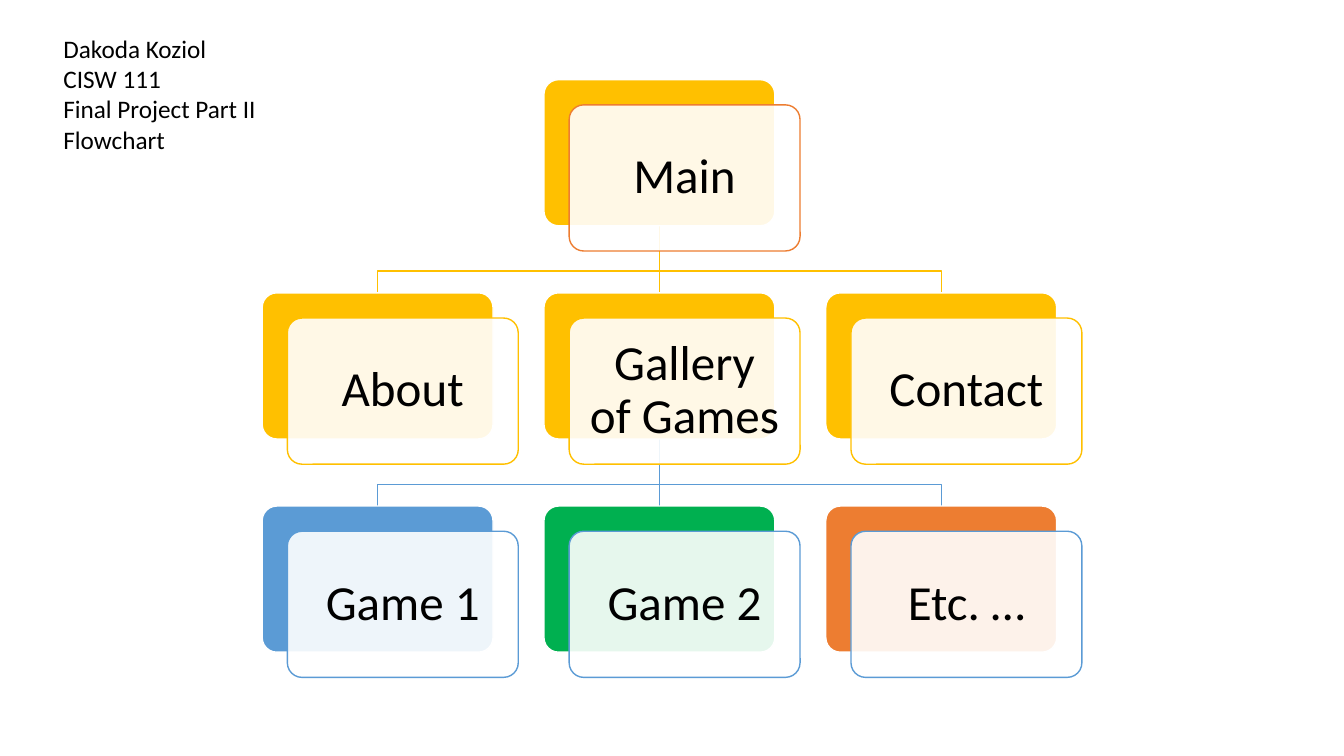
"""Build a one-slide flowchart of a website, from its main page down to its games."""
from lxml import etree
from pptx import Presentation
from pptx.dml.color import RGBColor
from pptx.enum.shapes import MSO_CONNECTOR, MSO_SHAPE
from pptx.enum.text import MSO_ANCHOR, PP_ALIGN
from pptx.oxml.ns import qn
from pptx.util import Inches, Pt

ROUNDED = MSO_SHAPE.ROUNDED_RECTANGLE
STRAIGHT = MSO_CONNECTOR.STRAIGHT
MIDDLE = MSO_ANCHOR.MIDDLE
CENTER = PP_ALIGN.CENTER

GOLD, BLUE, GREEN, ORANGE = "FFC000", "5B9BD5", "00B050", "ED7D31"
WHITE, BLACK = "FFFFFF", "000000"
FONT = "Calibri"

HEADING = ["Dakoda Koziol", "CISW 111", "Final Project Part II", "Flowchart"]
LEVELS = [
    {"outline": ORANGE, "boxes": [(1, "Main", GOLD)]},
    {"outline": GOLD, "boxes": [(0, "About", GOLD), (1, "Gallery of Games", GOLD),
                                (2, "Contact", GOLD)]},
    {"outline": BLUE, "boxes": [(0, "Game 1", BLUE), (1, "Game 2", GREEN),
                                (2, "Etc. …", ORANGE)]},
]

LEFT, TOP = 2.6, 0.79
COLUMN_STEP, ROW_STEP = 2.795, 2.115
BOX_WIDTH, BOX_HEIGHT = 2.29, 1.45
CARD_SHIFT = 0.25
BEND = 0.45
PARENT_COLUMN = 1


def color(value):
    return RGBColor.from_string(value)


def center_of(column):
    return LEFT + column * COLUMN_STEP + BOX_WIDTH / 2


def style_text(paragraph, size):
    paragraph.font.name = FONT
    paragraph.font.size = Pt(size)
    paragraph.font.color.rgb = color(BLACK)


def add_link(slide, column, parent_row, line_color):
    start_x, end_x = center_of(PARENT_COLUMN), center_of(column)
    start_y = TOP + parent_row * ROW_STEP + BOX_HEIGHT
    end_y = TOP + (parent_row + 1) * ROW_STEP
    if column == PARENT_COLUMN:
        link = slide.shapes.add_connector(
            STRAIGHT, Inches(start_x), Inches(start_y), Inches(end_x), Inches(end_y))
        etree.SubElement(link._element.spPr, qn("a:effectLst"))
    else:
        bend_y = start_y + BEND
        builder = slide.shapes.build_freeform(Inches(start_x), Inches(start_y))
        builder.add_line_segments(
            [(Inches(x), Inches(y))
             for x, y in [(start_x, bend_y), (end_x, bend_y), (end_x, end_y)]],
            close=False)
        link = builder.convert_to_shape()
        link.fill.background()
        link.shadow.inherit = False
    link.line.color.rgb = color(line_color)
    link.line.width = Pt(1)


def add_rounded(slide, left, top, fill, outline):
    shape = slide.shapes.add_shape(
        ROUNDED, Inches(left), Inches(top), Inches(BOX_WIDTH), Inches(BOX_HEIGHT))
    shape.adjustments[0] = 0.1
    shape.shadow.inherit = False
    shape.fill.solid()
    shape.fill.fore_color.rgb = color(fill)
    shape.line.color.rgb = color(outline)
    shape.line.width = Pt(1)
    return shape


def add_box(slide, column, row, label, fill, outline):
    left, top = LEFT + column * COLUMN_STEP, TOP + row * ROW_STEP
    add_rounded(slide, left, top, fill, WHITE)
    card = add_rounded(slide, left + CARD_SHIFT, top + CARD_SHIFT, WHITE, outline)
    fill_color = card._element.spPr.find(qn("a:solidFill"))[0]
    etree.SubElement(fill_color, qn("a:alpha"), val="90000")
    frame = card.text_frame
    frame.word_wrap = True
    frame.vertical_anchor = MIDDLE
    frame.margin_left = frame.margin_right = Inches(0.15)
    frame.margin_top = frame.margin_bottom = Inches(0.15)
    paragraph = frame.paragraphs[0]
    paragraph.text = label
    paragraph.alignment = CENTER
    paragraph.line_spacing = 0.9
    style_text(paragraph, 35)


def add_heading(slide):
    frame = slide.shapes.add_textbox(
        Inches(0.53), Inches(0.28), Inches(3.69), Inches(1.31)).text_frame
    frame.word_wrap = True
    for index, line in enumerate(HEADING):
        paragraph = frame.add_paragraph() if index else frame.paragraphs[0]
        paragraph.text = line
        style_text(paragraph, 18)


presentation = Presentation()
presentation.slide_width = Inches(13.33)
presentation.slide_height = Inches(7.5)
slide = presentation.slides.add_slide(presentation.slide_layouts[6])

for parent_row, level in enumerate(LEVELS[1:]):
    for column, label, fill in level["boxes"]:
        add_link(slide, column, parent_row, level["outline"])
for row, level in enumerate(LEVELS):
    for column, label, fill in level["boxes"]:
        add_box(slide, column, row, label, fill, level["outline"])
add_heading(slide)

presentation.save("out.pptx")
